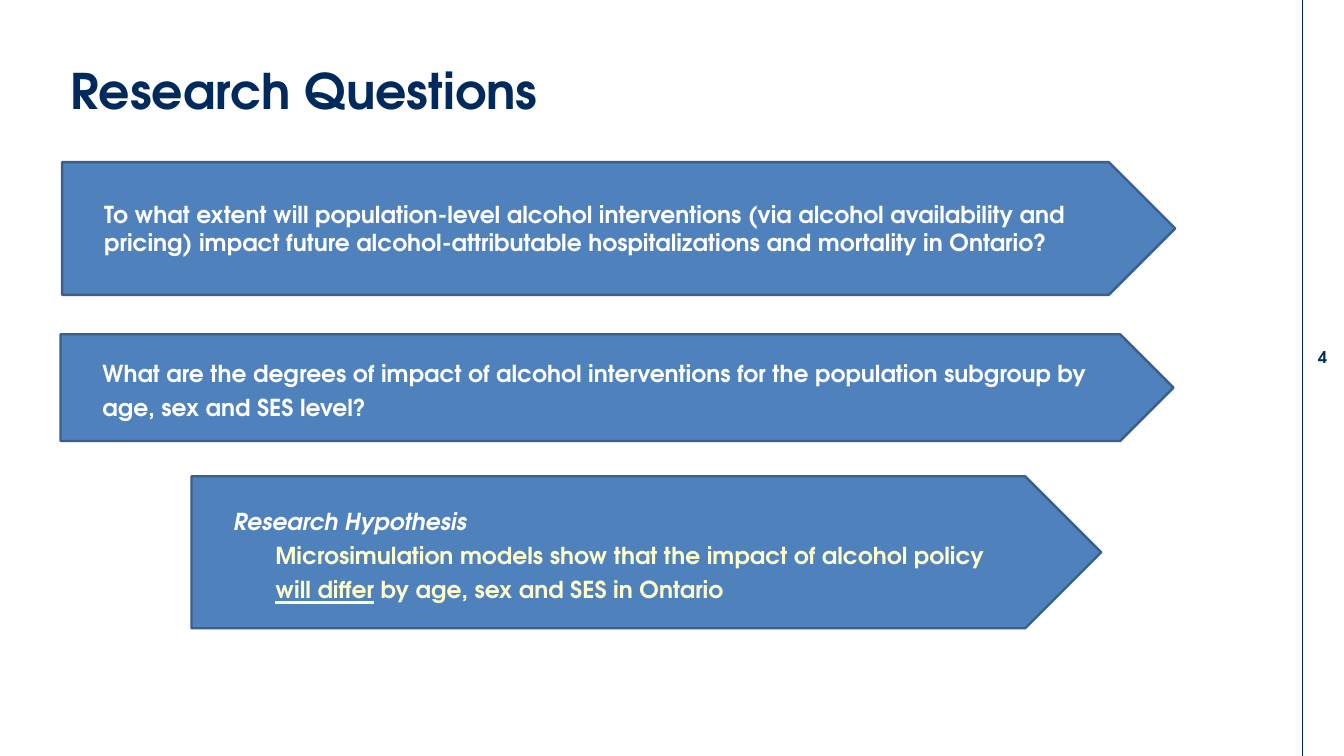
from pptx import Presentation
from pptx.dml.color import RGBColor
from pptx.enum.shapes import MSO_CONNECTOR, MSO_SHAPE
from pptx.enum.text import MSO_ANCHOR, PP_ALIGN
from pptx.oxml.ns import qn
from pptx.util import Inches, Pt
from lxml import etree

STRAIGHT = MSO_CONNECTOR.STRAIGHT
PENTAGON = MSO_SHAPE.PENTAGON
TOP, MIDDLE = MSO_ANCHOR.TOP, MSO_ANCHOR.MIDDLE
LEFT, CENTER = PP_ALIGN.LEFT, PP_ALIGN.CENTER

NAVY = RGBColor(0x00, 0x29, 0x5C)
BLUE = RGBColor(0x4F, 0x81, 0xBD)
EDGE = RGBColor(0x3A, 0x5F, 0x8C)
WHITE = RGBColor(0xFF, 0xFF, 0xFF)
CREAM = RGBColor(0xFF, 0xFF, 0xCC)
FONT = "TeX Gyre Adventor"


def style_run(run, size, color):
    run.font.name = FONT
    run.font.size = Pt(size)
    run.font.bold = True
    run.font.color.rgb = color


def set_margins(frame, inset):
    frame.margin_left = frame.margin_right = Inches(inset)
    frame.margin_top = frame.margin_bottom = Inches(inset)


def add_heading(slide, left, top, width, height):
    title = slide.shapes.title
    title.left, title.top = Inches(left), Inches(top)
    title.width, title.height = Inches(width), Inches(height)
    frame = title.text_frame
    frame.text = "Research Questions"
    frame.vertical_anchor = TOP
    heading = frame.paragraphs[0]
    heading.alignment = LEFT
    style_run(heading.runs[0], 42, NAVY)


def add_page_margin(slide, left, top, width, height):
    rule = slide.shapes.add_connector(
        STRAIGHT, Inches(left), Inches(top), Inches(left), Inches(top + height))
    rule.line.color.rgb = NAVY
    rule.line.width = Pt(0.25)
    etree.SubElement(rule.element.spPr, qn("a:effectLst"))

    number_height = 0.24
    page_number = slide.shapes.add_textbox(
        Inches(left + 0.1), Inches(top + 4.13), Inches(width - 0.21), Inches(number_height))
    frame = page_number.text_frame
    set_margins(frame, 0)
    frame.word_wrap = True
    frame.text = "4"
    frame.paragraphs[0].alignment = CENTER
    style_run(frame.paragraphs[0].runs[0], 14, NAVY)


def add_arrow(slide, left, top, width, height, text, spacing=None):
    arrow = slide.shapes.add_shape(
        PENTAGON, Inches(left), Inches(top), Inches(width), Inches(height))
    arrow.shadow.inherit = False
    arrow.fill.solid()
    arrow.fill.fore_color.rgb = BLUE
    arrow.line.color.rgb = EDGE
    arrow.line.width = Pt(2)
    frame = arrow.text_frame
    set_margins(frame, 0.5)
    frame.word_wrap = True
    frame.vertical_anchor = MIDDLE
    frame.text = text
    statement = frame.paragraphs[0]
    statement.alignment = LEFT
    statement.line_spacing = spacing
    style_run(statement.runs[0], 20, WHITE)
    return frame


def add_hypothesis(slide, left, top, width, height):
    frame = add_arrow(slide, left, top, width, height, "Research Hypothesis", 1.2)
    frame.paragraphs[0].runs[0].font.italic = True
    hypothesis = frame.add_paragraph()
    hypothesis.level = 1
    hypothesis.alignment = LEFT
    hypothesis.line_spacing = 1.2
    indent = hypothesis._p.get_or_add_pPr()
    indent.set("marL", str(Inches(0.5)))
    indent.set("indent", "0")
    for text, underlined in (
        ("Microsimulation models show that the impact of alcohol policy ", False),
        ("will differ", True),
        (" by age, sex and SES in Ontario", False),
    ):
        run = hypothesis.add_run()
        run.text = text
        style_run(run, 20, CREAM)
        run.font.underline = underlined


def main():
    deck = Presentation()
    deck.slide_width, deck.slide_height = Inches(16), Inches(9)
    slide = deck.slides.add_slide(deck.slide_layouts[5])
    add_page_margin(slide, 15.5, 0, 0.5, 9)
    add_heading(slide, 0.74, 0.67, 14.53, 0.81)
    add_arrow(
        slide, 0.74, 1.93, 13.25, 1.58,
        "To what extent will population-level alcohol interventions (via alcohol "
        "availability and pricing) impact future alcohol-attributable "
        "hospitalizations and mortality in Ontario?")
    add_arrow(
        slide, 0.72, 3.98, 13.25, 1.27,
        "What are the degrees of impact of alcohol interventions for the "
        "population subgroup by age, sex and SES level?", 1.2)
    add_hypothesis(slide, 2.28, 5.67, 10.83, 1.81)
    deck.save("out.pptx")


if __name__ == "__main__":
    main()
